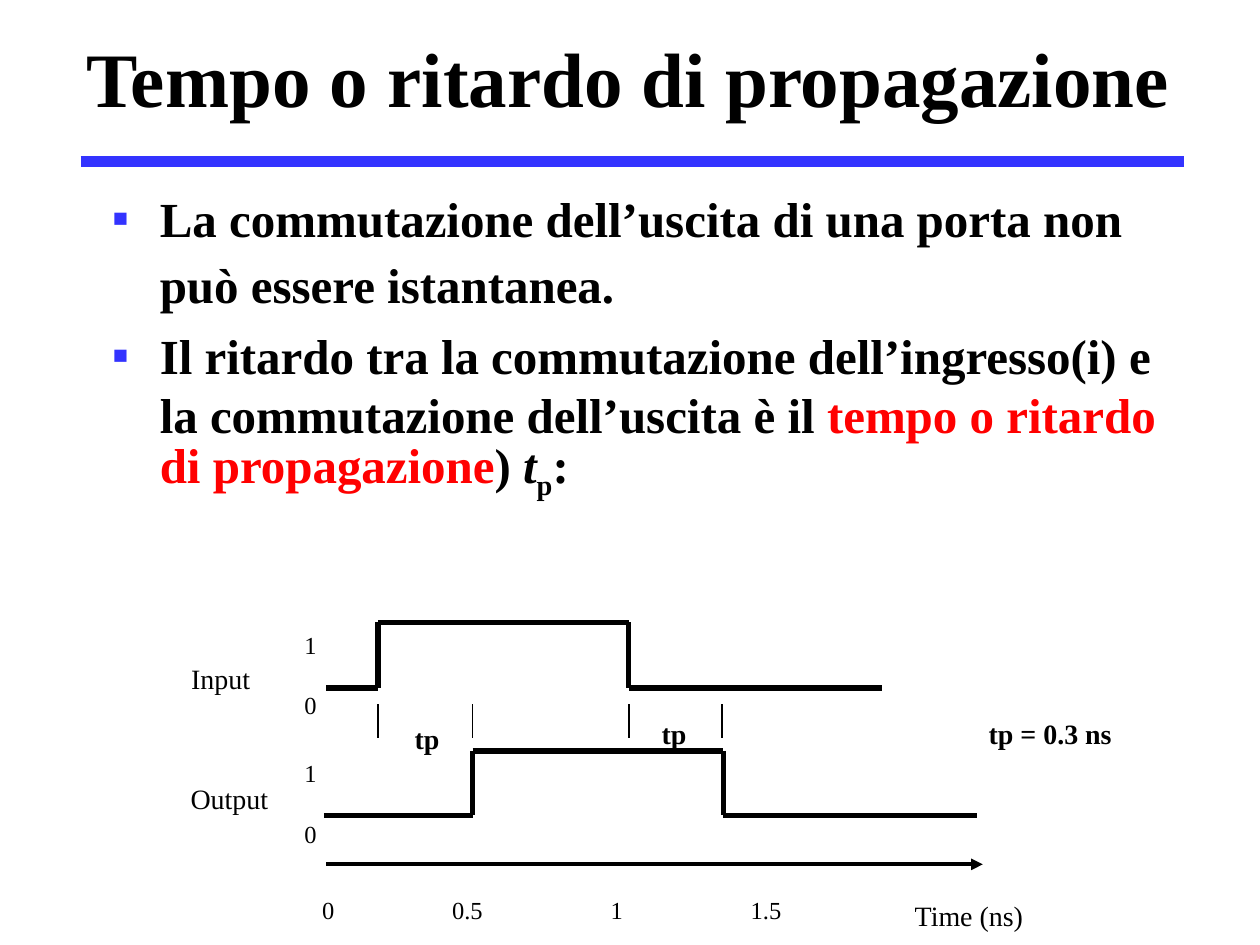
from itertools import pairwise
from lxml.etree import SubElement as Sub
from pptx import Presentation
from pptx.dml.color import RGBColor as RGB
from pptx.enum.shapes import MSO_CONNECTOR as Conn
from pptx.enum.text import MSO_ANCHOR as Anchor, PP_ALIGN as Align
from pptx.oxml.ns import qn
from pptx.util import Inches, Pt

FONT = "Times New Roman"
BLACK, BLUE, RED = "000000", "3333FF", "FF0000"


def color(code):
    """Turn a hex string into a colour."""
    return RGB.from_string(code)


def line(slide, start, end, width, code=BLACK, arrow=False):
    """Draw a straight line, with an arrowhead if wanted."""
    ends = [Inches(n) for n in (*start, *end)]
    rule = slide.shapes.add_connector(Conn.STRAIGHT, *ends)
    rule.line.color.rgb = color(code)
    rule.line.width = Pt(width)
    props = rule._element.spPr
    if arrow:
        Sub(props.find(qn("a:ln")), qn("a:tailEnd"), type="triangle")
    Sub(props, qn("a:effectLst"))


def frame(slide, left, top, width, height, anchor, pad=0):
    """Add a wrapping text box and return its text frame."""
    box = slide.shapes.add_textbox(*[Inches(n) for n in (left, top, width, height)])
    text = box.text_frame
    text.word_wrap = True
    text.vertical_anchor = anchor
    text.margin_left = Inches(pad)
    text.margin_right = text.margin_top = text.margin_bottom = 0
    return text


def write(para, words, size, bold=False, code=BLACK, slant=False, base=0):
    """Add one run to a paragraph."""
    run = para.add_run()
    run.text = words
    font = run.font
    font.name, font.size, font.bold, font.italic = FONT, Pt(size), bold, slant
    font.color.rgb = color(code)
    if base:
        run._r.get_or_add_rPr().set("baseline", str(base * 1000))


def bullet(para, pitch, before=0):
    """Give a paragraph a blue square, a hanging indent and its spacing."""
    para.line_spacing = Pt(pitch)
    para.space_before = Pt(before)
    props = para._p.get_or_add_pPr()
    props.set("marL", str(Inches(0.38)))
    props.set("indent", str(-Inches(0.38)))
    Sub(Sub(props, qn("a:buClr")), qn("a:srgbClr"), val=BLUE)
    Sub(props, qn("a:buFont"), typeface=FONT)
    Sub(props, qn("a:buChar"), char="▪")


def label(slide, words, left, top, width, size=16, bold=False):
    """Place a centred label at the foot of its box."""
    height = 0.57 if size == 16 else 0.5
    para = frame(slide, left, top + 0.02, width, height, Anchor.BOTTOM).paragraphs[0]
    para.alignment = Align.CENTER
    write(para, words, size, bold)


def wave(slide, start, rise, fall, end, high, low):
    """Draw one square pulse."""
    points = [(start, low), (rise, low), (rise, high),
              (fall, high), (fall, low), (end, low)]
    for a, b in pairwise(points):
        line(slide, a, b, 3)


def prose(slide):
    """Write the title and the two bullet points."""
    title = frame(slide, 0.59, 0.05, 9.14, 1.12, Anchor.MIDDLE, 0.1)
    write(title.paragraphs[0], "Tempo o ritardo di propagazione", 44, True)
    body = frame(slide, 0.79, 1.44, 8.5, 2.75, Anchor.TOP, 0.1)
    first, second = body.paragraphs[0], body.add_paragraph()
    bullet(first, 37.7)
    write(first, "La commutazione dell’uscita di una porta non può essere istantanea.", 28, True)
    bullet(second, 33.4, 7.2)
    write(second, "Il ritardo tra la commutazione dell’ingresso(i) e "
          "la commutazione dell’uscita è il ", 28, True)
    write(second, "tempo o ritardo di propagazione", 28, True, RED)
    write(second, ") ", 28, True)
    write(second, "t", 28, True, slant=True)
    write(second, "p", 28, True, base=-25)
    write(second, ":", 28, True)


def timing(slide):
    """Draw the timing diagram."""
    wave(slide, 2.59, 3, 4.99, 7, 4.94, 5.46)
    wave(slide, 2.57, 3.75, 5.74, 7.75, 5.96, 6.47)
    for x in (3, 3.75, 4.99, 5.73):
        line(slide, (x, 5.59), (x, 5.86), 1)
    line(slide, (2.59, 6.86), (7.8, 6.86), 2.25, arrow=True)
    label(slide, "tp", 2.86, 5.4, 1.06, bold=True)
    label(slide, "tp", 4.82, 5.36, 1.06, bold=True)
    label(slide, "tp = 0.3 ns", 7.22, 5.36, 2.23, bold=True)
    label(slide, "Input", 1.24, 4.93, 1.02)
    label(slide, "Output", 1.18, 5.88, 1.28)
    label(slide, "Time (ns)", 6.83, 6.81, 1.72)
    for top in (4.71, 5.73):
        label(slide, "1", 2.28, top, 0.37, 14)
        label(slide, "0", 2.28, top + 0.48, 0.37, 14)
    for words, left, width in (("0", 2.42, 0.37), ("0.5", 3.4, 0.62),
                               ("1", 4.71, 0.37), ("1.5", 5.77, 0.62)):
        label(slide, words, left, 6.82, width, 14)


def main():
    """Build and save the slide."""
    deck = Presentation()
    deck.slide_width, deck.slide_height = Inches(10), Inches(7.5)
    slide = deck.slides.add_slide(deck.slide_layouts[6])
    line(slide, (0.64, 1.28), (9.4, 1.28), 6, BLUE)
    prose(slide)
    timing(slide)
    deck.save("out.pptx")


if __name__ == "__main__":
    main()
